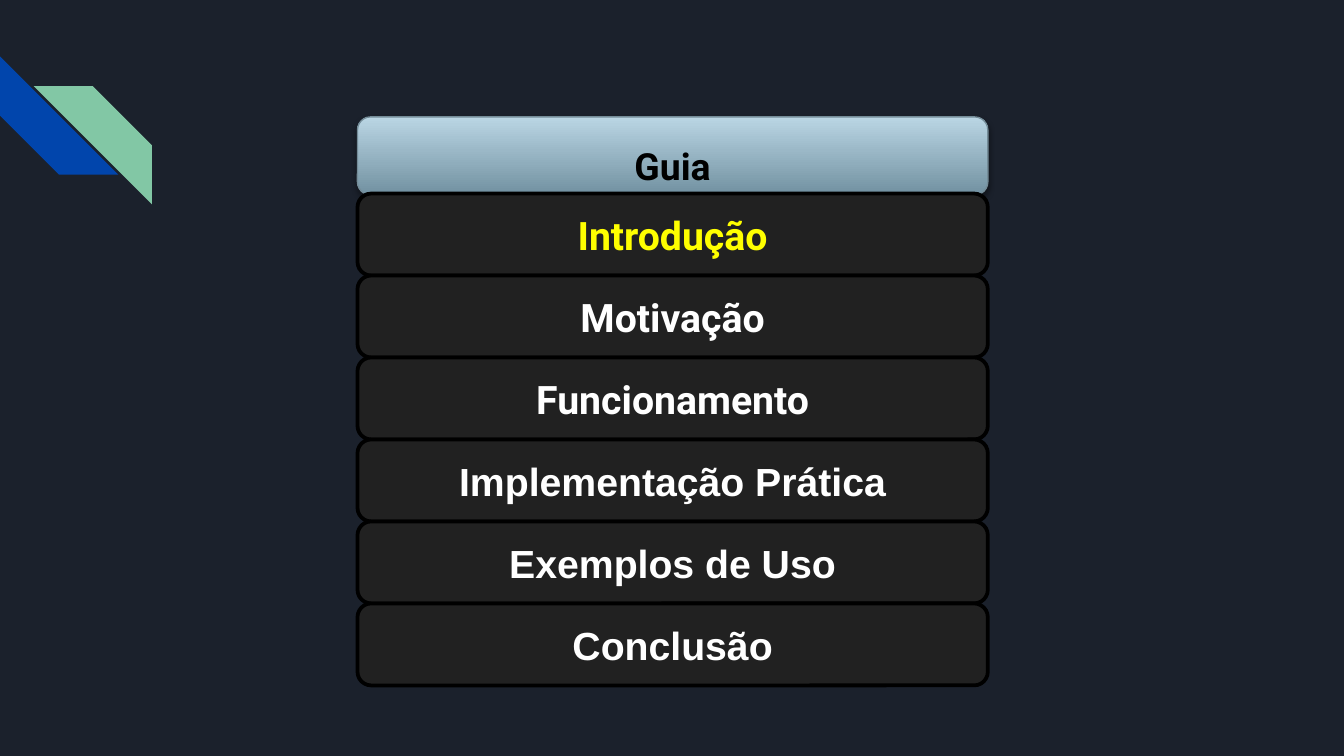
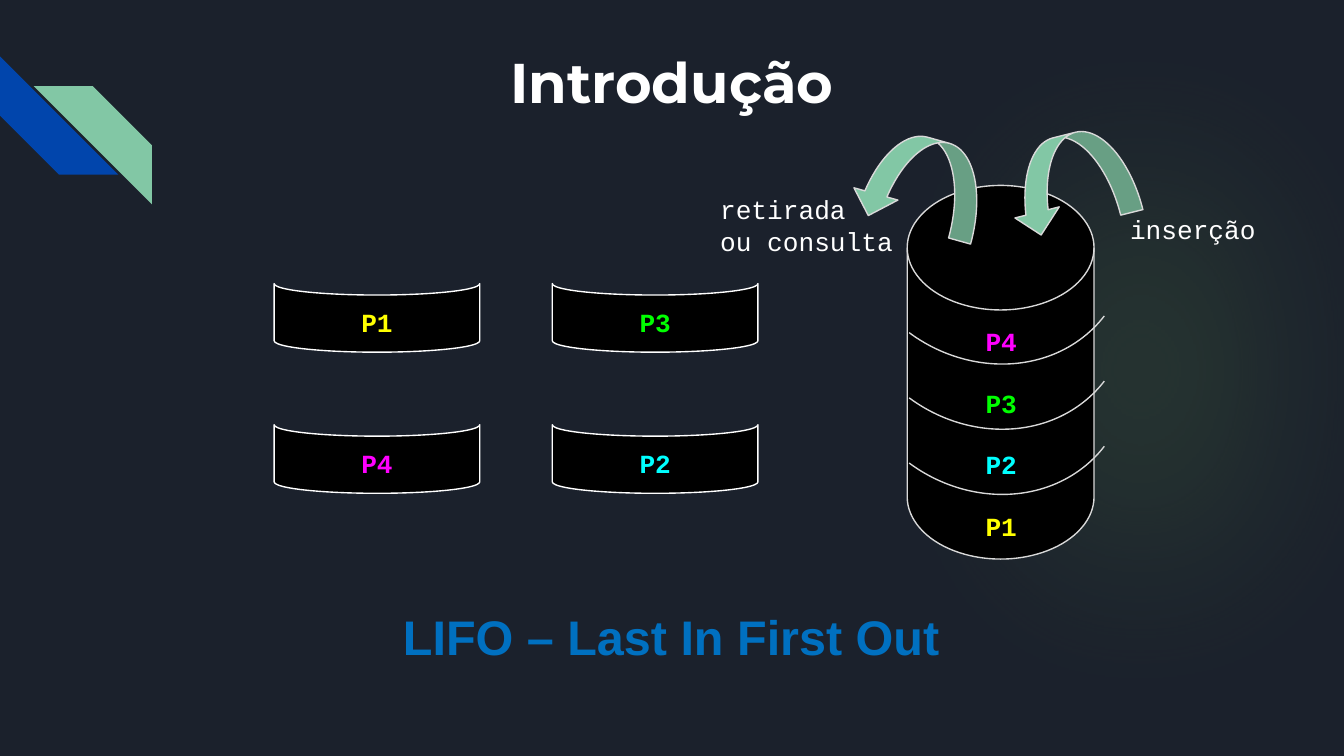
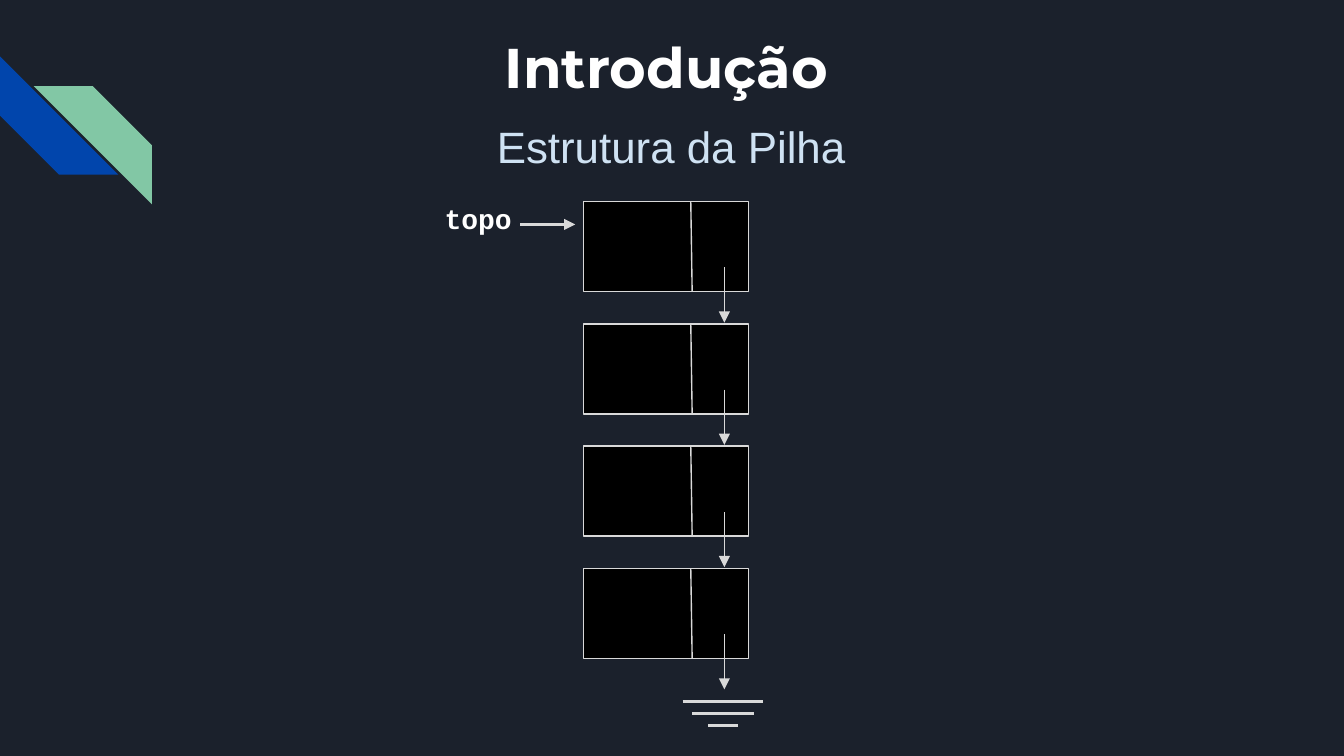
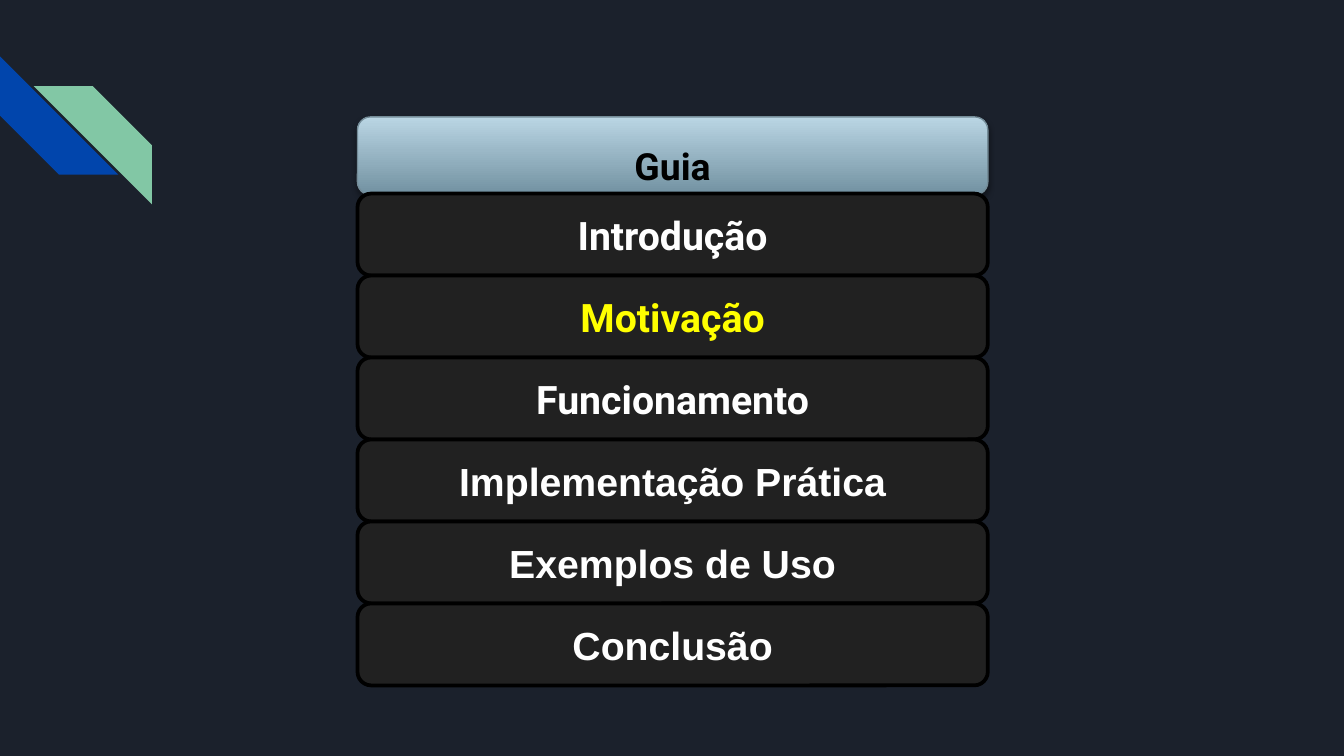
from lxml import etree
from pptx import Presentation, util as u
from pptx.dml.color import RGBColor
from pptx.enum import shapes as kinds, text
from pptx.oxml.ns import qn

hue = RGBColor.from_string
Kind = kinds.MSO_SHAPE
Mid = text.PP_ALIGN.CENTER
WIDE, HIGH = 10, 10 * 9 / 16
NIGHT, BLUE, GREEN = "1B212C", "0145AC", "82C7A5"
BLACK, WHITE, GREY, YELLOW = "000000", "FFFFFF", "D9D9D9", "FFFF00"
CODE = {"name": "Courier New", "size": u.Pt(14), "bold": True}
HEAD = {"name": "Montserrat", "size": u.Pt(30), "bold": True}


def put(page, kind, box, fill=None, line=None, width=0.75, spin=0, adj=(), glow=None):
    """Add a preset shape, or a text box when kind is None."""
    box = [u.Inches(v) for v in box]
    if kind is None:
        item = page.shapes.add_textbox(*box)
        item.text_frame.word_wrap = True
        return item
    item = page.shapes.add_shape(kind, *box)
    item.rotation = spin
    item.shadow.inherit = False
    for i, v in enumerate(adj):
        item.adjustments[i] = v
    if fill:
        item.fill.solid()
        item.fill.fore_color.rgb = hue(fill)
    else:
        item.fill.background()
    if line:
        item.line.color.rgb = hue(line)
        item.line.width = u.Pt(width)
    else:
        item.line.fill.background()
    if glow:
        tint, alpha, blur, dist, angle = glow
        fx = item.element.spPr.find(qn("a:effectLst"))
        cast = etree.SubElement(fx, qn("a:outerShdw"), blurRad=str(u.Pt(blur)),
                                dist=str(u.Pt(dist)), dir=str(angle * 60000),
                                algn="bl", rotWithShape="0")
        tone = etree.SubElement(cast, qn("a:srgbClr"), val=tint)
        etree.SubElement(tone, qn("a:alpha"), val=str(alpha * 1000))
    return item


def say(item, words, font, tint, align=Mid, anchor=text.MSO_ANCHOR.TOP, **para):
    """Fill an item with one paragraph per line of words."""
    frame = item.text_frame
    frame.auto_size = text.MSO_AUTO_SIZE.NONE
    frame.vertical_anchor = anchor
    for side in ("left", "top", "right", "bottom"):
        setattr(frame, "margin_" + side, u.Inches(0.1))
    frame.text = words
    for p in frame.paragraphs:
        for key, val in {"alignment": align, **para}.items():
            setattr(p, key, val)
        for key, val in font.items():
            setattr(p.runs[0].font, key, val)
        p.runs[0].font.color.rgb = hue(tint)


deck = Presentation()
deck.slide_width, deck.slide_height = u.Inches(WIDE), u.Inches(HIGH)
BARE, TITLED = deck.slide_layouts[6], deck.slide_layouts[5]
pages = [deck.slides.add_slide(lay) for lay in (BARE, TITLED, TITLED, BARE)]

# Shared background and corner stripes, kept on the master
master = deck.slide_master
master.background.fill.solid()
master.background.fill.fore_color.rgb = hue(NIGHT)
left = put(pages[0], Kind.DIAGONAL_STRIPE, (0, 0.42, 0.88, 0.88), BLUE, spin=270, adj=[0.5])
right = put(pages[0], Kind.DIAGONAL_STRIPE, (0.25, 0.64, 0.88, 0.88), GREEN, adj=[0.5])
right.element.spPr.find(qn("a:xfrm")).set("flipH", "1")
for num, band in enumerate((left, right), 101):
    band.element.nvSpPr.cNvPr.set("id", str(num))
    master.shapes.element.append(band.element)

# Titles
for page, box in ((pages[1], (0, 0.25, WIDE, 0.8)), (pages[2], (1.11, 0.14, 7.7, 1))):
    title = page.shapes.title
    title.left, title.top, title.width, title.height = [u.Inches(v) for v in box]
    say(title, "Introdução", HEAD, WHITE)

# Slides 1 and 4: guide with the current topic lit
TOPICS = ["Introdução", "Motivação", "Funcionamento",
          "Implementação Prática", "Exemplos de Uso", "Conclusão"]
ROW, EDGE, SPAN = 0.61, 2.66, 4.69
for page, now in ((pages[0], 0), (pages[3], 1)):
    top = put(page, Kind.ROUNDED_RECTANGLE, (EDGE, 0.87, SPAN, 0.58), BLACK, "748C98",
              glow=(BLACK, 35, 3.1, 1.8, 90))
    top.fill.gradient()
    top.fill.gradient_angle = 90
    for stop, tint in zip(top.fill.gradient_stops, ("7291A1", "BAD6E4")):
        stop.color.rgb = hue(tint)
    say(top, "Guia", {"name": "Roboto", "size": u.Pt(20), "bold": True}, BLACK,
        anchor=text.MSO_ANCHOR.MIDDLE)
    top.text_frame.margin_top, top.text_frame.margin_bottom = u.Inches(0.2), u.Inches(0.05)
    for i, topic in enumerate(TOPICS):
        bar = put(page, Kind.ROUNDED_RECTANGLE, (EDGE, 1.44 + i * ROW, SPAN, ROW),
                  "212121", BLACK, 2)
        font = {"name": "Roboto" if i < 3 else "Arial", "size": u.Pt(21), "bold": True}
        say(bar, topic, font, YELLOW if i == now else WHITE, anchor=text.MSO_ANCHOR.MIDDLE)

# Slide 2: the stack, cut into layers by arcs
page = pages[1]
put(page, Kind.FLOWCHART_MAGNETIC_DISK, (6.75, 1.38, 1.39, 2.78), BLACK, GREY,
    glow=("6AA84F", 20, 112.5, 75, 359))
for i in range(3):
    put(page, Kind.ARC, (6.36, 0.58 + i * 0.485, 1.97, 2.2), line=GREY, spin=127.6,
        adj=(270 * 0.6, 358.52 * 0.6))  # degrees to adjustment units

# Loose blocks on a 2 x 2 grid, and their places in the stack
TINTS = {"P1": YELLOW, "P2": "00FFFF", "P3": "00FF00", "P4": "FF00FF"}
for i, name in enumerate(("P1", "P3", "P4", "P2")):
    x, y = 2.31 + i % 2 * 2.07, 1.6 + i // 2 * 1.05
    put(page, Kind.FLOWCHART_STORED_DATA, (x + 0.24, y, 0.51, 1.53), BLACK, WHITE, spin=270)
    say(put(page, None, (x, y + 0.58, 0.99, 0.44)), name, CODE, TINTS[name])
for i, (name, tint) in enumerate(TINTS.items()):
    say(put(page, None, (7, 3.7 - i * 0.46, 0.9, 0.44)), name, CODE, tint)

# Moves in and out
for box, spin in (((6.51, 0.88, 0.68, 0.96), 105.6), ((7.62, 0.87, 0.68, 0.95), 76)):
    put(page, Kind.CURVED_RIGHT_ARROW, box, GREEN, GREY, spin=spin, adj=(0.25, 0.5, 0.25))
for words, box in (("retirada\nou consulta", (5.26, 1.34, 1.66, 0.67)),
                   ("inserção", (8.31, 1.49, 1.66, 0.44))):
    say(put(page, None, box), words, {**CODE, "bold": False}, WHITE, text.PP_ALIGN.LEFT)
say(put(page, None, (2.9, 4.42, 4.67, 0.88)), "LIFO – Last In First Out",
    {"name": "Arial", "size": u.Pt(26), "bold": True}, "0070C0", text.PP_ALIGN.LEFT)

# Slide 3: linked nodes
page = pages[2]
say(put(page, None, (0.63, 0.73, 8.73, 0.6)), "Estrutura da Pilha",
    {"name": "Arial", "size": u.Pt(23.5)}, "CFE2F3", line_spacing=1.15, space_after=u.Pt(12))
say(put(page, None, (3.21, 1.4, 0.89, 0.45)), "topo", {**CODE, "size": u.Pt(15)}, WHITE,
    text.PP_ALIGN.LEFT)
wires = [(3.87, 1.67, 4.28, 1.67, 1.5, True)]
for i in range(4):
    y = 1.5 + i * 0.91
    put(page, Kind.RECTANGLE, (4.34, y, 1.23, 0.67), BLACK, GREY)
    wires += [(5.14, y, 5.15, y + 0.67, 0.75, False),
              (5.39, y + 0.49, 5.39, y + 0.9, 0.75, True)]
# Ground sign: three shrinking bars
for i, half in enumerate((0.3, 0.23, 0.11)):
    y = 5.22 + i * 0.09
    wires.append((5.38 - half, y, 5.38 + half, y, 1.5, False))
for *ends, width, arrow in wires:
    wire = page.shapes.add_connector(kinds.MSO_CONNECTOR.STRAIGHT, *[u.Inches(v) for v in ends])
    wire.line.color.rgb = hue(GREY)
    wire.line.width = u.Pt(width)
    if arrow:
        etree.SubElement(wire.element.spPr.find(qn("a:ln")), qn("a:tailEnd"), type="triangle")
    etree.SubElement(wire.element.spPr, qn("a:effectLst"))

deck.save("out.pptx")
